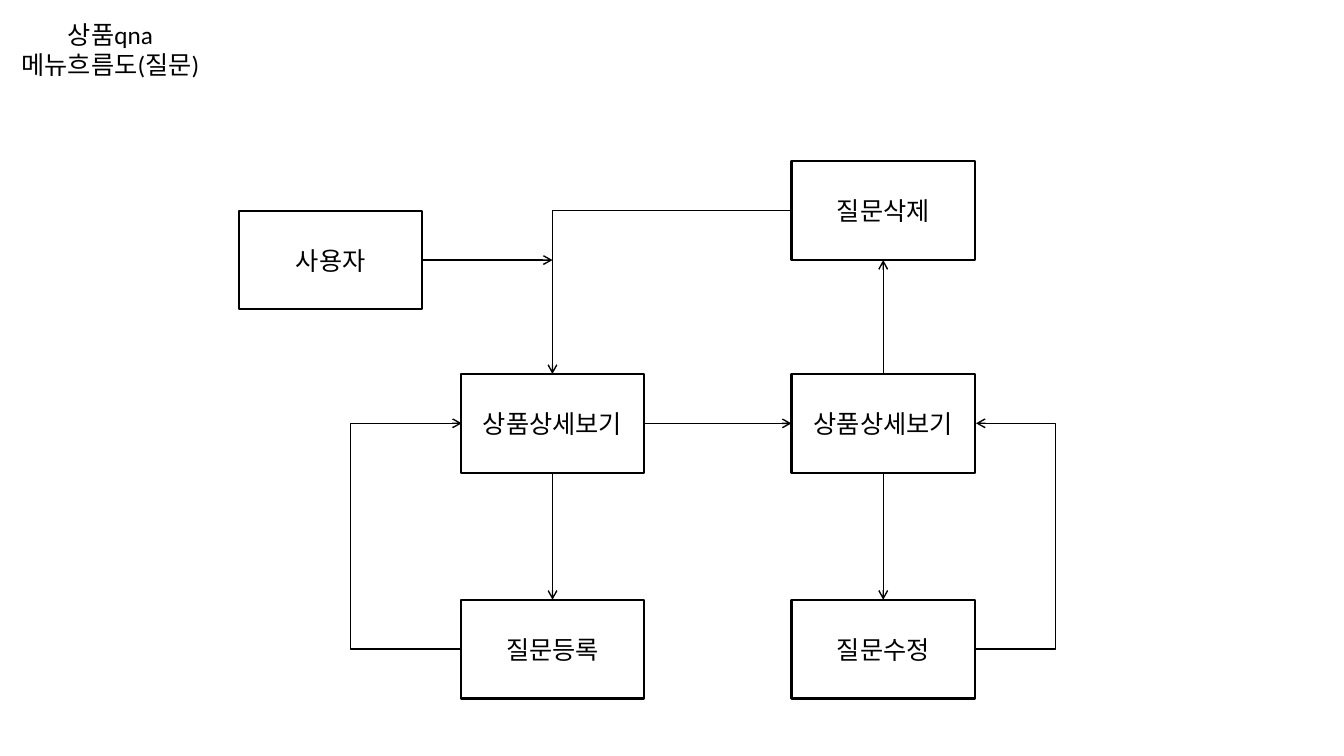
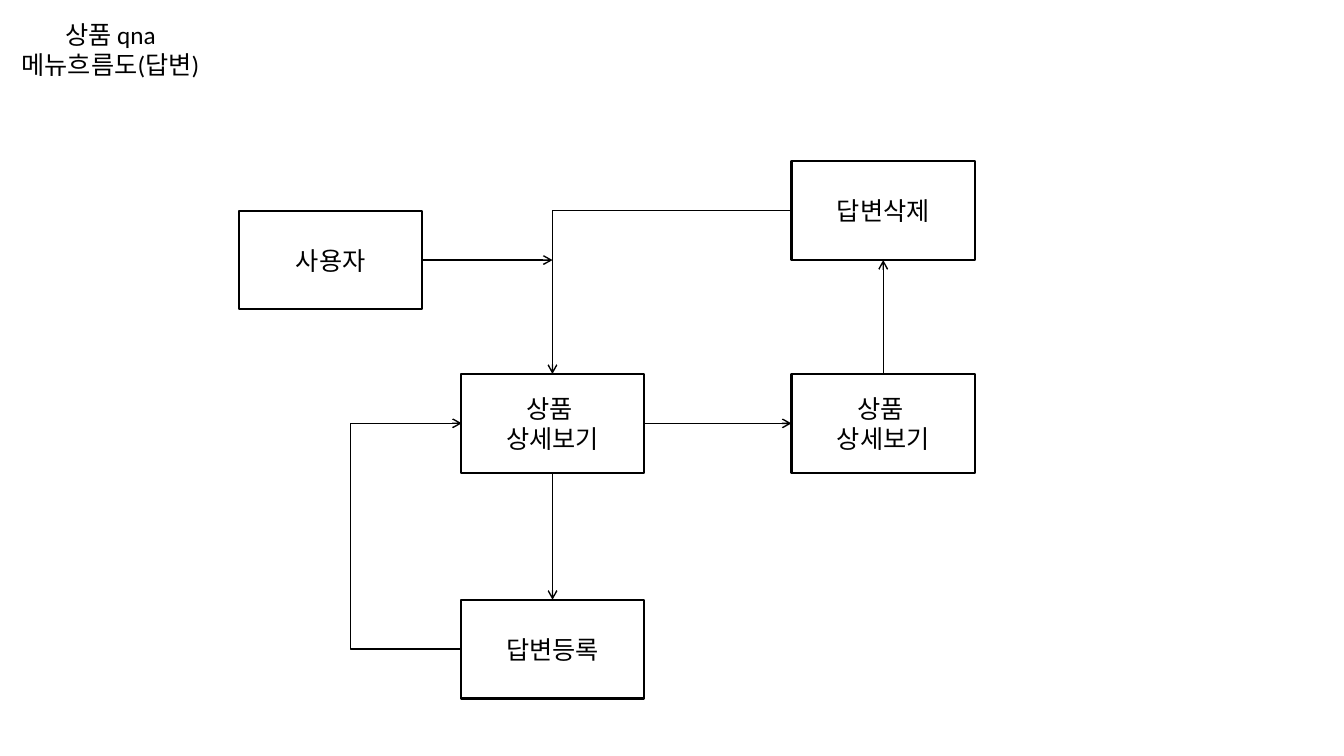
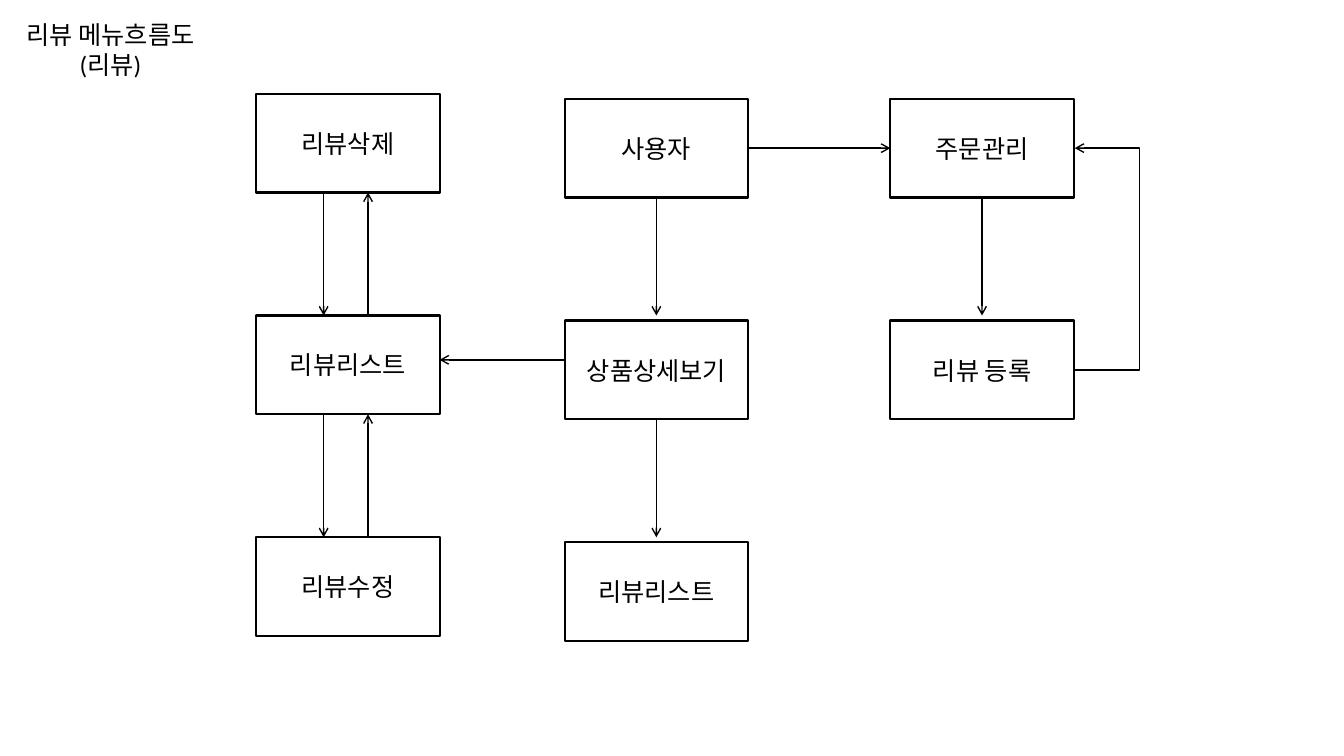
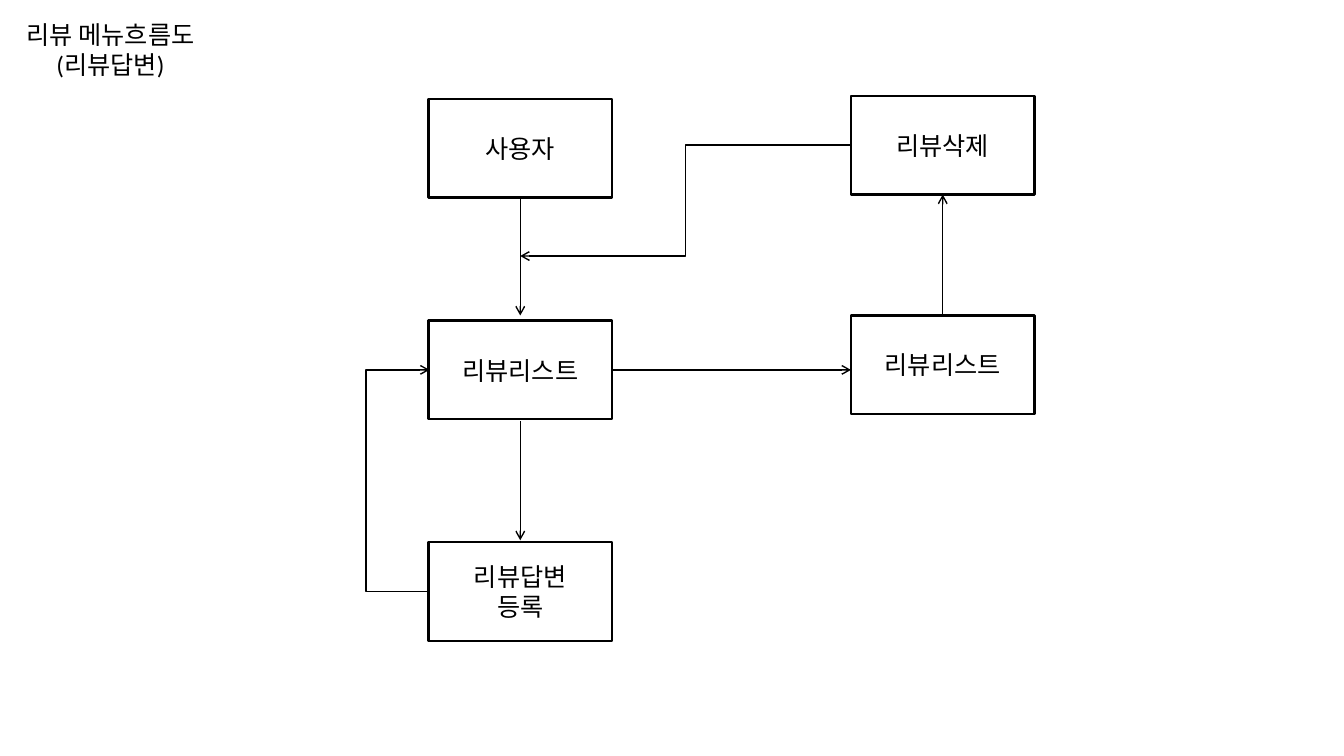
from lxml.etree import SubElement
from pptx import Presentation
from pptx.dml.color import RGBColor
from pptx.enum.shapes import MSO_CONNECTOR, MSO_SHAPE
from pptx.enum.text import MSO_ANCHOR, PP_ALIGN
from pptx.oxml.ns import qn
from pptx.util import Inches, Pt

BLACK, WHITE = "000000", "FFFFFF"
BOX_WIDTH, BOX_HEIGHT = 1.82, 0.98
TITLE_WIDTH, TITLE_HEIGHT = 2.19, 0.98
TOP, LEFT, BOTTOM, RIGHT = range(4)
CORNER = "corner"  # an elbow with a single turn
NUDGE = 0.01  # width given to an elbow that returns to its own column


def write_text(shape, lines, size=18, font="Calibri", color=BLACK):
    frame = shape.text_frame
    frame.word_wrap = True
    frame.vertical_anchor = MSO_ANCHOR.MIDDLE
    for index, line in enumerate(lines):
        para = frame.paragraphs[0] if index == 0 else frame.add_paragraph()
        para.alignment = PP_ALIGN.CENTER
        span = para.add_run()
        span.text = line
        span.font.size = Pt(size)
        span.font.name = font
        span.font.color.rgb = RGBColor.from_string(color)


def draw_arrow(page, begin, end, turn=None):
    """Draw a straight arrow, or an elbow turning at CORNER or at the x of turn."""
    (x1, y1), (x2, y2) = begin, end
    if turn is not None and x1 == x2:
        x2 += NUDGE
    kind = MSO_CONNECTOR.STRAIGHT if turn is None else MSO_CONNECTOR.ELBOW
    arrow = page.shapes.add_connector(kind, *map(Inches, (x1, y1, x2, y2)))
    arrow.line.color.rgb = RGBColor.from_string(BLACK)
    arrow.line.width = Pt(1)
    properties = arrow._element.spPr
    SubElement(properties.find(qn("a:ln")), qn("a:tailEnd"), type="arrow")
    SubElement(properties, qn("a:effectLst"))
    geometry = properties.find(qn("a:prstGeom"))
    if turn == CORNER:
        geometry.set("prst", "bentConnector2")
    elif turn is not None:
        guides = geometry.find(qn("a:avLst"))
        if guides is None:
            guides = SubElement(geometry, qn("a:avLst"))
        share = round((turn - x1) / (x2 - x1) * 100000)
        SubElement(guides, qn("a:gd"), name="adj1", fmla=f"val {share}")
    return arrow


# Each chart: title lines, boxes as name: (left, top, lines), arrows as (begin, end, turn).
# An arrow's end is a (box name, side) or an (x, y) point.
charts = []

# Question and answer charts share one layout; only questions can be edited.
user_x, view_x, manage_x = 2.37, 4.57, 7.85
user_y, view_y, form_y, delete_y = 2.09, 3.71, 5.95, 1.6
view_center = view_x + BOX_WIDTH / 2
for title, topic, view_lines in (
    ("상품qna 메뉴흐름도(질문)", "질문", ["상품상세보기"]),
    ("상품 qna 메뉴흐름도(답변)", "답변", ["상품 ", "상세보기"]),
):
    boxes = {
        "user": (user_x, user_y, ["사용자"]),
        "view": (view_x, view_y, view_lines),
        "create": (view_x, form_y, [topic + "등록"]),
        "manage": (manage_x, view_y, view_lines),
        "delete": (manage_x, delete_y, [topic + "삭제"]),
    }
    arrows = [
        (("view", BOTTOM), ("create", TOP), None),
        (("create", LEFT), ("view", LEFT), 3.46),
        (("view", RIGHT), ("manage", LEFT), None),
        (("manage", TOP), ("delete", BOTTOM), None),
        (("delete", LEFT), ("view", TOP), CORNER),
        (("user", RIGHT), (view_center, user_y + BOX_HEIGHT / 2), None),
    ]
    if topic == "질문":
        boxes["edit"] = (manage_x, form_y, [topic + "수정"])
        arrows += [
            (("manage", BOTTOM), ("edit", TOP), None),
            (("edit", RIGHT), ("manage", RIGHT), 10.48),
        ]
    charts.append(([title], boxes, arrows))

# Review charts stand on three evenly spaced rows, the side column slightly higher.
rows = [0.98 + 2.2 * row for row in range(3)]
side_rows = [top - 0.05 for top in rows]
gap = 0.05  # space between an arrowhead and the box below it

side_x, main_x, order_x = 2.54, 5.6, 8.83
main_center, order_center = main_x + BOX_WIDTH / 2, order_x + BOX_WIDTH / 2
boxes = {
    "user": (main_x, rows[0], ["사용자"]),
    "view": (main_x, rows[1], ["상품상세보기"]),
    "reviews": (main_x, rows[2], ["리뷰리스트"]),
    "orders": (order_x, rows[0], ["주문관리"]),
    "create": (order_x, rows[1], ["리뷰 등록"]),
    "delete": (side_x, side_rows[0], ["리뷰삭제"]),
    "list": (side_x, side_rows[1], ["리뷰리스트"]),
    "edit": (side_x, side_rows[2], ["리뷰수정"]),
}
arrows = [
    (("user", BOTTOM), (main_center, rows[1] - gap), None),
    (("view", BOTTOM), (main_center, rows[2] - gap), None),
    (("user", RIGHT), ("orders", LEFT), None),
    (("orders", BOTTOM), (order_center, rows[1] - gap), None),
    (("create", RIGHT), ("orders", RIGHT), 11.31),
    ((main_x, 3.57), (side_x + BOX_WIDTH, 3.57), None),
]
for upper, lower in zip(side_rows, side_rows[1:]):
    arrows += [
        ((3.21, upper + BOX_HEIGHT), (3.21, lower), None),
        ((3.65, lower), (3.65, upper + BOX_HEIGHT), None),
    ]
charts.append((["리뷰 메뉴흐름도", "(리뷰)"], boxes, arrows))

main_x, manage_x = 4.25, 8.44
main_center = main_x + BOX_WIDTH / 2
list_middle = rows[1] + BOX_HEIGHT / 2
boxes = {
    "user": (main_x, rows[0], ["사용자"]),
    "list": (main_x, rows[1], ["리뷰리스트"]),
    "create": (main_x, rows[2], ["리뷰답변", "등록"]),
    "delete": (manage_x, 0.95, ["리뷰삭제"]),
    "manage": (manage_x, side_rows[1], ["리뷰리스트"]),
}
arrows = [
    (("user", BOTTOM), (main_center, rows[1] - gap), None),
    (("list", RIGHT), (manage_x, list_middle), None),
    (("manage", TOP), ("delete", BOTTOM), None),
    (("create", LEFT), ("list", LEFT), 3.62),
    ((main_center, 4.18), (main_center, 5.36), None),
    (("delete", LEFT), (main_center, 2.54), 6.8),
]
charts.append((["리뷰 메뉴흐름도", "(리뷰답변)"], boxes, arrows))

deck = Presentation()
deck.slide_width, deck.slide_height = Inches(13.33), Inches(7.5)

for title_lines, boxes, arrows in charts:
    page = deck.slides.add_slide(deck.slide_layouts[6])
    title_box = page.shapes.add_textbox(0, 0, Inches(TITLE_WIDTH), Inches(TITLE_HEIGHT))
    write_text(title_box, title_lines)

    shapes, sites = {}, {}
    for name, (left, top, lines) in boxes.items():
        box = page.shapes.add_shape(
            MSO_SHAPE.RECTANGLE, *map(Inches, (left, top, BOX_WIDTH, BOX_HEIGHT))
        )
        box.shadow.inherit = False
        box.fill.solid()
        box.fill.fore_color.rgb = RGBColor.from_string(WHITE)
        box.line.color.rgb = RGBColor.from_string(BLACK)
        box.line.width = Pt(1.5)
        write_text(box, lines)
        shapes[name] = box
        center, middle = left + BOX_WIDTH / 2, top + BOX_HEIGHT / 2
        sites[name, TOP] = (center, top)
        sites[name, LEFT] = (left, middle)
        sites[name, BOTTOM] = (center, top + BOX_HEIGHT)
        sites[name, RIGHT] = (left + BOX_WIDTH, middle)

    for begin, end, turn in arrows:
        arrow = draw_arrow(page, sites.get(begin, begin), sites.get(end, end), turn)
        if turn is None and begin in sites:
            arrow.begin_connect(shapes[begin[0]], begin[1])
        if turn is None and end in sites:
            arrow.end_connect(shapes[end[0]], end[1])

deck.save("out.pptx")
